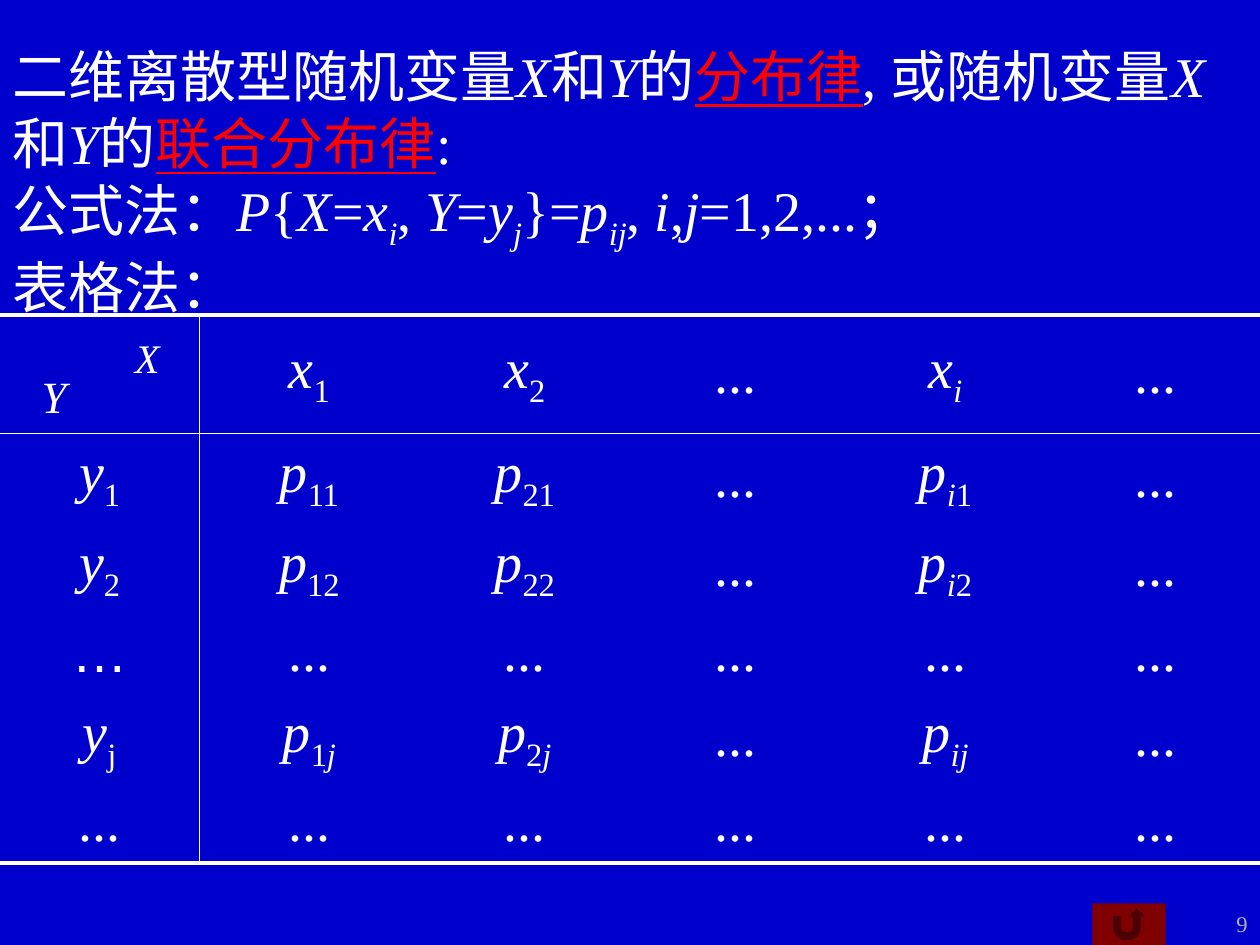
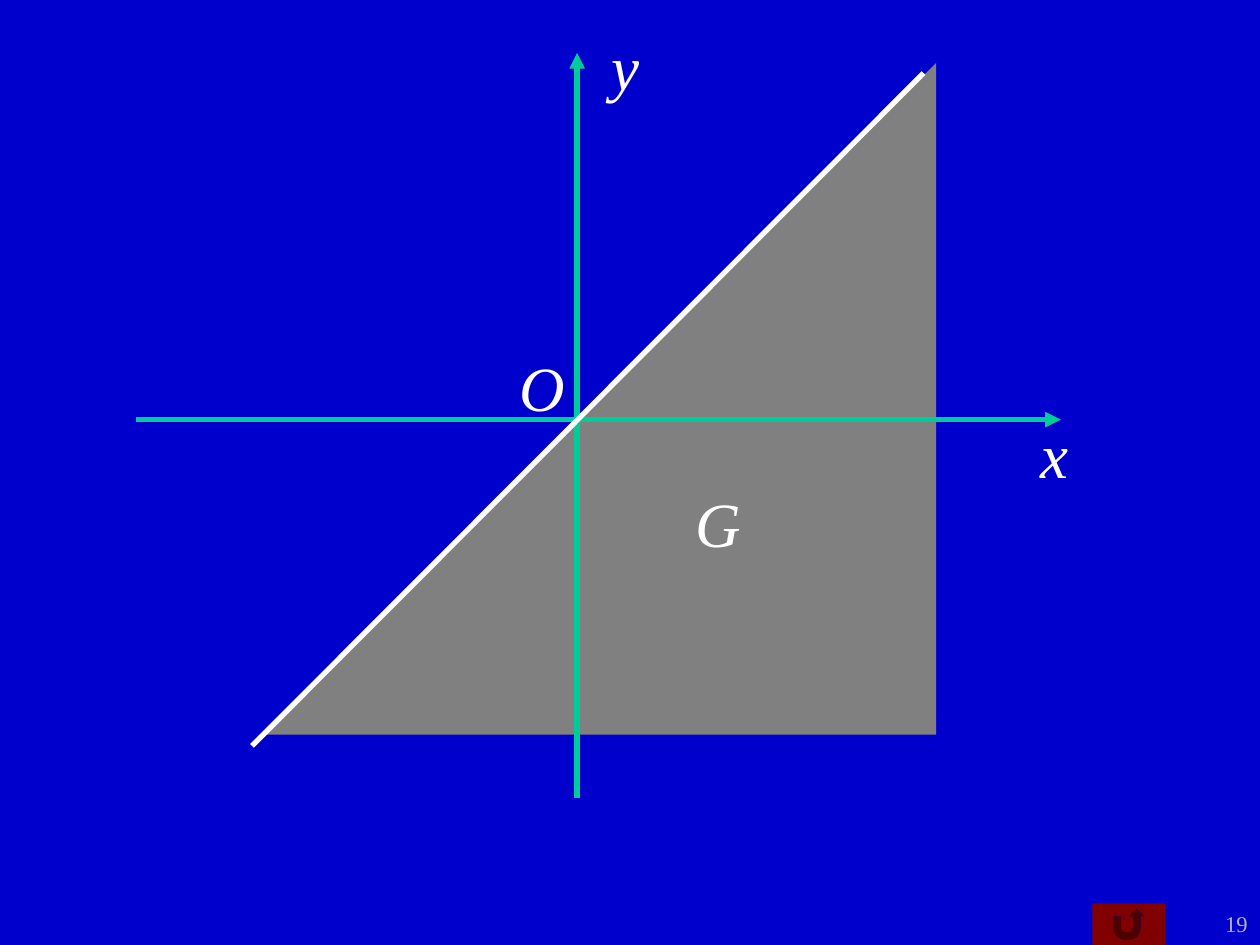
from itertools import groupby
from lxml import etree
from pptx import Presentation
from pptx.dml.color import RGBColor
from pptx.enum.shapes import MSO_CONNECTOR, MSO_SHAPE
from pptx.enum.text import MSO_ANCHOR, PP_ALIGN
from pptx.oxml.ns import qn
from pptx.util import Inches, Pt

STRAIGHT = MSO_CONNECTOR.STRAIGHT
RETURN = MSO_SHAPE.ACTION_BUTTON_RETURN
TOP, MIDDLE = MSO_ANCHOR.TOP, MSO_ANCHOR.MIDDLE
LEFT, CENTER, RIGHT = PP_ALIGN.LEFT, PP_ALIGN.CENTER, PP_ALIGN.RIGHT

BLUE, WHITE, RED, GREEN = "0000CC", "FFFFFF", "FF0000", "00CC99"
GRAY, MAROON, SILVER = "808080", "800000", "B2B2B2"
SERIF, SANS = "Times New Roman", "Arial"
SUB, SUPER = -25000, 30000
THICK, THIN = 2.21, 0.45
DOTS = "..."

ITALIC = {"italic": True}
LOW = {"base": SUB}
LOWER = {"italic": True, "base": SUB}
TERM = {"color": RED, "underline": True}


def paint(color, code):
    color.rgb = RGBColor.from_string(code)


def fill(item, code):
    item.fill.solid()
    paint(item.fill.fore_color, code)


def apply(item, values):
    for name, value in values.items():
        setattr(item, name, value)


def inches(*values):
    return [Inches(value) for value in values]


def write(para, runs, size=32, color=WHITE):
    for text, style in runs:
        look = {"name": SERIF, "size": Pt(size), **style}
        base = look.pop("base", None)
        code = look.pop("color", color)
        for count, piece in enumerate(text.split("\n")):
            if count:
                para.add_line_break()
            run = para.add_run()
            run.text = piece
            apply(run.font, look)
            paint(run.font.color, code)
            if base:
                run._r.get_or_add_rPr().set("baseline", str(base))


def label(slide, box, runs, size=32, color=WHITE, align=LEFT, wrap=True):
    frame = slide.shapes.add_textbox(*inches(*box)).text_frame
    apply(frame, {"word_wrap": wrap, "vertical_anchor": TOP})
    para = frame.paragraphs[0]
    para.alignment = align
    write(para, runs, size, color)


def line(slide, start, end, color, arrow=False):
    link = slide.shapes.add_connector(STRAIGHT, *inches(*start, *end))
    link.line.width = Pt(3)
    link.line.fill.solid()
    paint(link.line.color, color)
    props = link._element.spPr
    if arrow:
        etree.SubElement(props.find(qn("a:ln")), qn("a:tailEnd"), type="triangle")
    etree.SubElement(props, qn("a:effectLst"))


def plain(shape, color):
    fill(shape, color)
    shape.line.fill.background()
    shape.shadow.inherit = False


def footer(slide, box, number):
    x, y, w, h = box
    button = slide.shapes.add_shape(RETURN, *inches(x, y, 0.58, h))
    plain(button, MAROON)
    label(slide, (x + 0.66, y, w - 0.66, h), [(number, {})], 12.9, SILVER, RIGHT)


def border(cell, widths):
    props = cell._tc.get_or_add_tcPr()
    for spot, (side, width) in enumerate(zip("LRTB", widths)):
        edge = etree.Element(qn("a:ln" + side))
        if width:
            edge.set("w", str(Pt(width)))
            solid = etree.SubElement(edge, qn("a:solidFill"))
            etree.SubElement(solid, qn("a:srgbClr"), val=WHITE)
        else:
            edge.set("w", "0")
            etree.SubElement(edge, qn("a:noFill"))
        props.insert(spot, edge)


def symbol(letter, index):
    runs = [(letter, ITALIC)]
    for slant, signs in groupby(index, str.isalpha):
        runs.append(("".join(signs), LOWER if slant else LOW))
    return runs


def entry(row, col):
    if not row and col == DOTS or row in (DOTS, "…"):
        return [(DOTS, {})]
    if col == DOTS:
        return [(DOTS, {})]
    return symbol("p", col + row) if row else symbol("x", col)


def corner(cell):
    cell.margin_left = Inches(0.33)
    para = cell.text_frame.paragraphs[0]
    apply(para, {"alignment": LEFT, "space_before": Pt(10)})
    tabs = etree.SubElement(para._p.get_or_add_pPr(), qn("a:tabLst"))
    etree.SubElement(tabs, qn("a:tab"), pos=str(Inches(0.74)), algn="l")
    write(para, [("Y", {**LOWER, "size": Pt(44)}),
                 ("\tX", {**ITALIC, "size": Pt(40), "base": SUPER})])


def grid(slide, box):
    cols = ["1", "2", DOTS, "i", DOTS]
    rows = ["", "1", "2", "…", "j", DOTS]
    heads = {
        "1": symbol("y", "1"),
        "2": symbol("y", "2"),
        "…": [("…", {"name": SANS})],
        "j": [("y", ITALIC), ("j", LOW)],
        DOTS: [(DOTS, {})],
    }
    frame = slide.shapes.add_table(len(rows), len(cols) + 1, *inches(*box))
    table = frame.table
    apply(table, {"first_row": False, "horz_banding": False})
    for col, width in zip(table.columns, [1.58, 1.75] + [1.67] * 4):
        col.width = Inches(width)
    for row, height in zip(table.rows, [0.94, 0.71, 0.71, 0.64, 0.71, 0.64]):
        row.height = Inches(height)
    last = len(rows) - 1
    for r, row in enumerate(rows):
        for c, col in enumerate([""] + cols):
            cell = table.cell(r, c)
            cell.vertical_anchor = MIDDLE
            cell.fill.background()
            border(cell, (
                THIN if c == 1 else 0,
                THIN if c == 0 else 0,
                {0: THICK, 1: THIN}.get(r, 0),
                {0: THIN, last: THICK}.get(r, 0),
            ))
            if not r and not c:
                corner(cell)
                continue
            para = cell.text_frame.paragraphs[0]
            apply(para, {"alignment": CENTER, "space_before": Pt(8)})
            write(para, entry(row, col) if c else heads[row])


def law(slide, box):
    pair = [("X", ITALIC), ("和", {}), ("Y", ITALIC), ("的", {})]
    label(slide, box, [
        ("二维离散型随机变量", {}), *pair, ("分布律", TERM),
        (", 或随机变量", {}), *pair, ("联合分布律", TERM),
        (":\n公式法：", {}), ("P", ITALIC), ("{", {}), ("X", ITALIC), ("=", {}),
        *symbol("x", "i"), (", ", {}), ("Y", ITALIC), ("=", {}),
        *symbol("y", "j"), ("}=", {}), *symbol("p", "ij"), (", ", {}),
        ("i", ITALIC), (",", {}), ("j", ITALIC),
        ("=1,2,...；\n表格法：", {}),
    ])


def plot(slide, box):
    x, y, w, h = box
    side = 5.33
    left, top = x + 1.02, y + 0.08
    right, base = left + side, top + side
    pen = slide.shapes.build_freeform(*inches(left, base))
    pen.add_line_segments([inches(right, base), inches(right, top)], close=True)
    plain(pen.convert_to_shape(), GRAY)
    across, down = y + 2.91, x + 3.5
    line(slide, (x, across), (x + w, across), GREEN, True)
    line(slide, (down, y + h), (down, y), GREEN, True)
    line(slide, (x + 0.92, y + 5.5), (x + 6.25, y + 0.16), WHITE)
    marks = [("x", 7.08, 2.83, 0.42), ("y", 3.67, -0.25, 0.42),
             ("O", 2.94, 2.3, 0.56), ("G", 4.34, 3.38, 0.56)]
    for text, dx, dy, width in marks:
        label(slide, (x + dx, y + dy, width, 0.7), [(text, ITALIC)],
              36, align=CENTER, wrap=False)


def page(deck, number):
    slide = deck.slides.add_slide(deck.slide_layouts[6])
    fill(slide.background, BLUE)
    footer(slide, (8.67, 7.17, 1.33, 0.33), number)
    return slide


deck = Presentation()
apply(deck, {"slide_width": Inches(10), "slide_height": Inches(7.5)})

joint = page(deck, "9")
law(joint, (0, 0.28, 10, 2.17))
grid(joint, (0, 2.5, 10, 4.35))

region = page(deck, "19")
plot(region, (1.08, 0.42, 7.34, 5.91))

deck.save("out.pptx")
